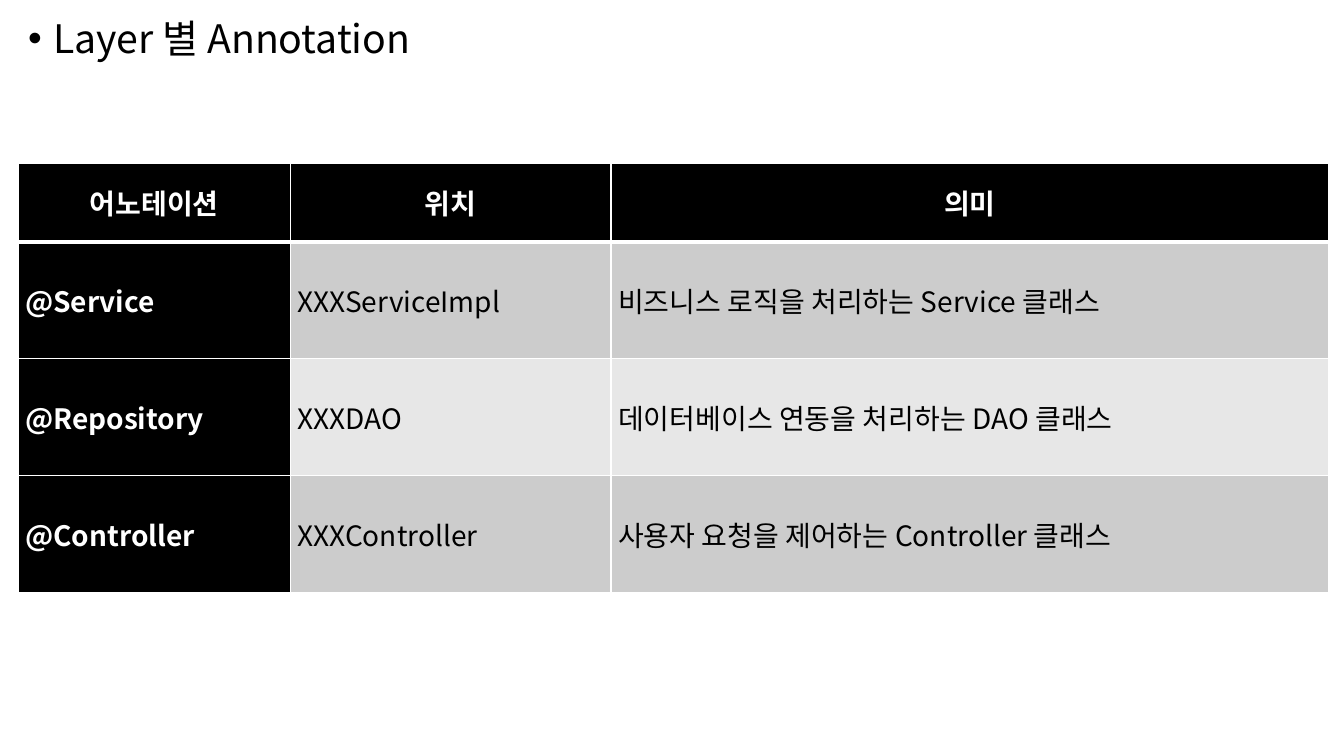
from lxml.etree import SubElement as Sub
from pptx import Presentation
from pptx.dml.color import RGBColor
from pptx.enum.text import MSO_ANCHOR as Anchor, PP_ALIGN as Align
from pptx.oxml.ns import qn
from pptx.util import Inches, Pt

FONT = "Noto Sans CJK KR"
BLACK, WHITE = "000000", "FFFFFF"
BANDS = ("CCCCCC", "E7E7E7")
LEFT, WIDTH = 0.18, 12.99
COLS = (2.7, 3.18, 7.12)
ROWS = (0.78, 1.16, 1.16, 1.16)
DATA = (
    ("어노테이션", "위치", "의미"),
    ("@Service", "XXXServiceImpl", "비즈니스 로직을 처리하는 Service 클래스"),
    ("@Repository", "XXXDAO", "데이터베이스 연동을 처리하는 DAO 클래스"),
    ("@Controller", "XXXController", "사용자 요청을 제어하는 Controller 클래스"),
)


def rgb(code):
    return RGBColor.from_string(code)


def write(frame, text, size=20, color=BLACK, bold=False, align=Align.LEFT):
    para = frame.paragraphs[0]
    para.alignment = align
    run = para.add_run()
    run.text = text
    font = run.font
    font.name, font.size, font.bold = FONT, Pt(size), bold
    font.color.rgb = rgb(color)
    Sub(font._element, qn("a:ea"), typeface=FONT)
    return para


def bullet(para, indent):
    props = para._p.get_or_add_pPr()
    props.set("marL", str(Inches(indent)))
    props.set("indent", str(Inches(-indent)))
    Sub(props, qn("a:buFont"), typeface="Arial")
    Sub(props, qn("a:buChar"), char="•")


def border(cell, side, width):
    line = Sub(cell._tc.get_or_add_tcPr(), qn(f"a:ln{side}"), w=str(Pt(width)))
    fill = Sub(line, qn("a:solidFill"))
    Sub(fill, qn("a:srgbClr"), val=WHITE)


def heading(slide, text):
    slide.shapes._spTree.remove(slide.shapes.title._element)
    body = slide.placeholders[1]
    body.left, body.top = Inches(LEFT), Inches(0.14)
    body.width, body.height = Inches(WIDTH), Inches(7.22)
    para = write(body.text_frame, text, size=28)
    para.line_spacing = 0.9
    para.space_before = Pt(10)
    bullet(para, 0.25)


def fill_cell(cell, text, row, col):
    head = row == 0
    dark = head or col == 0
    cell.vertical_anchor = Anchor.MIDDLE
    cell.margin_left = cell.margin_right = Inches(0.07)
    cell.margin_top = cell.margin_bottom = 0
    # Borders must come before the fill in the cell properties
    for side in "LRTB":
        thick = (head and side == "B") or (row == 1 and side == "T")
        border(cell, side, 3 if thick else 1)
    cell.fill.solid()
    cell.fill.fore_color.rgb = rgb(BLACK if dark else BANDS[(row - 1) % 2])
    write(cell.text_frame, text, color=WHITE if dark else BLACK, bold=dark,
          align=Align.CENTER if head else Align.LEFT)


def grid(slide):
    frame = slide.shapes.add_table(
        len(ROWS), len(COLS), Inches(LEFT), Inches(1.62),
        Inches(WIDTH), Inches(sum(ROWS)))
    table = frame.table
    for col, width in zip(table.columns, COLS):
        col.width = Inches(width)
    for row, height in zip(table.rows, ROWS):
        row.height = Inches(height)
    for r, texts in enumerate(DATA):
        for c, text in enumerate(texts):
            fill_cell(table.cell(r, c), text, r, c)


def main():
    prs = Presentation()
    prs.slide_width, prs.slide_height = Inches(13.33), Inches(7.5)
    slide = prs.slides.add_slide(prs.slide_layouts[1])
    heading(slide, "Layer 별 Annotation")
    grid(slide)
    prs.save("out.pptx")


if __name__ == "__main__":
    main()
